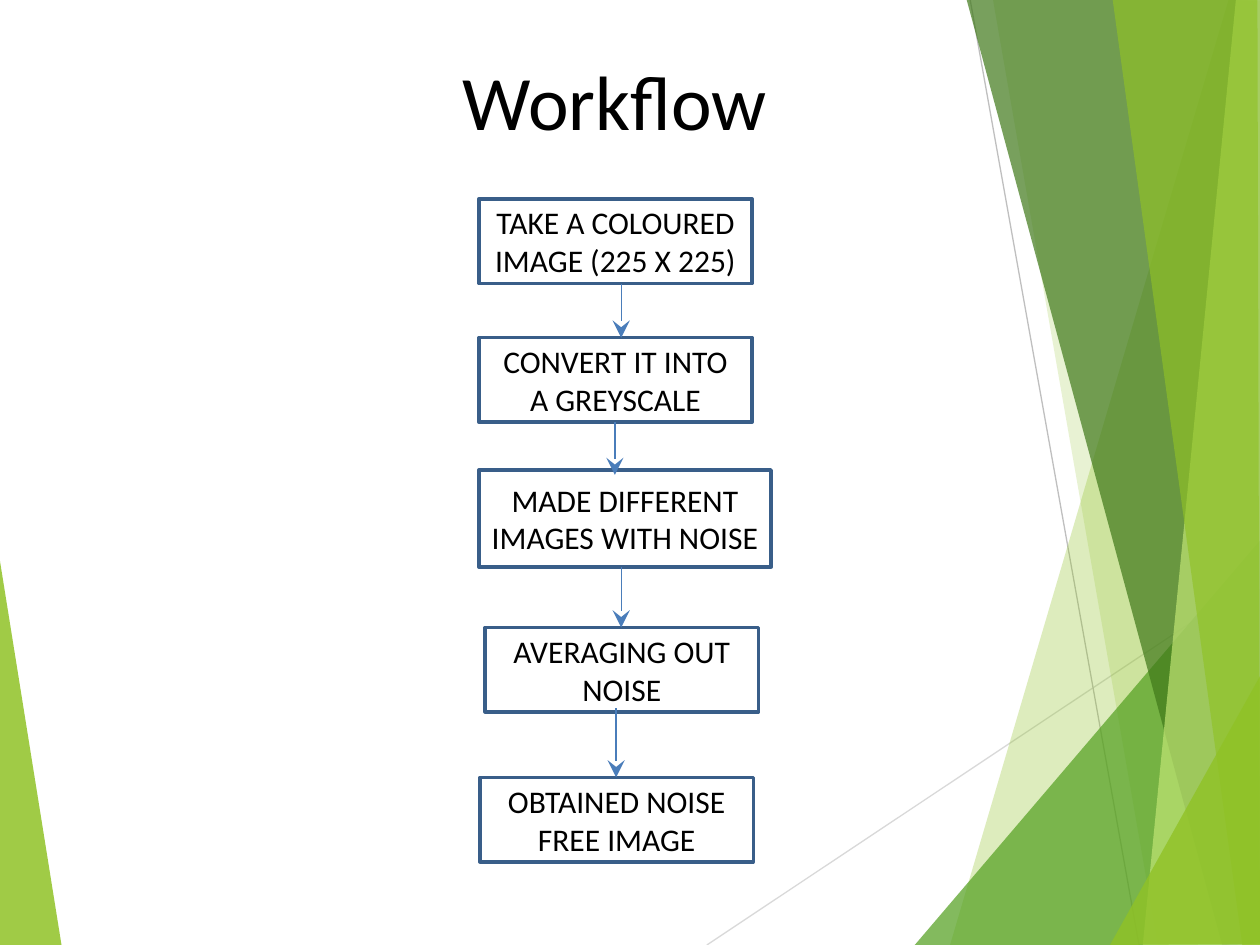
from lxml import etree
from pptx import Presentation
from pptx.dml.color import RGBColor
from pptx.enum import shapes, text
from pptx.oxml.ns import qn
from pptx.util import Inches, Pt

BLACK = RGBColor(0x00, 0x00, 0x00)
BOX_BLUE = RGBColor(0x39, 0x5E, 0x89)
ARROW_BLUE = RGBColor(0x4A, 0x7D, 0xBA)
LIME = RGBColor(0x90, 0xC2, 0x26)
GREEN = RGBColor(0x54, 0xA0, 0x21)
DARK_GREEN = RGBColor(0x3F, 0x78, 0x19)
PALE_LIME = RGBColor(0xC0, 0xE4, 0x74)
LIGHT_GREY = RGBColor(0xD9, 0xD9, 0xD9)
GREY = RGBColor(0xBF, 0xBF, 0xBF)

# Corner points, colour, opacity in percent
LEFT_FACET = ([(-0.01, 4.39), (0.49, 7.51), (-0.01, 7.5)], LIME, 85)
RIGHT_FACETS = [
    ([(9.75, 0), (7.54, 7.5), (10.02, 7.51), (10.01, 0.01)], LIME, 30),
    ([(7.88, -0.01), (9.19, 7.5), (10.01, 7.5), (10.01, -0.01)], LIME, 20),
    ([(7.26, 7.5), (10, 4.29), (10.01, 7.5)], GREEN, 72),
    ([(7.67, -0.01), (9.7, 7.5), (10.01, 7.49), (10.01, -0.01)], DARK_GREEN, 70),
    ([(9.81, -0.01), (9.07, 7.5), (10.01, 7.5), (10, -0.01)], PALE_LIME, 70),
    ([(8.83, -0.01), (9.86, 7.5), (10, 7.5), (9.98, -0.01)], LIME, 65),
    ([(8.81, 7.5), (10.01, 5.35), (10.01, 7.49)], LIME, 80),
]
BACKGROUND_LINES = [
    ((5.61, 7.5), (10.01, 4.57), LIGHT_GREY),
    ((7.7, 0), (9.04, 7.5), GREY),
]

BOX_SIZE = (2.17, 0.67)
WIDE_BOX_SIZE = (2.32, 0.77)
STEPS = [
    ("TAKE A COLOURED IMAGE (225 X 225)", (3.8, 1.58), BOX_SIZE),
    ("CONVERT IT INTO A GREYSCALE", (3.8, 2.68), BOX_SIZE),
    ("MADE DIFFERENT IMAGES WITH NOISE", (3.8, 3.73), WIDE_BOX_SIZE),
    ("AVERAGING OUT NOISE", (3.85, 4.98), BOX_SIZE),
    ("OBTAINED NOISE FREE IMAGE", (3.81, 6.17), BOX_SIZE),
]
# x, top, bottom
ARROWS = [(4.93, 2.25, 2.68), (4.88, 3.35, 3.77),
          (4.93, 4.5, 4.98), (4.89, 5.62, 6.17)]


def add_facet(slide, points, color, opacity):
    """Add a translucent polygon without an outline."""
    corners = [(Inches(x), Inches(y)) for x, y in points]
    builder = slide.shapes.build_freeform(*corners[0])
    builder.add_line_segments(corners[1:], close=True)
    shape = builder.convert_to_shape()
    shape.shadow.inherit = False
    shape.fill.solid()
    shape.fill.fore_color.rgb = color
    shape.line.fill.background()
    color_element = shape.fill._xPr.find(".//" + qn("a:srgbClr"))
    etree.SubElement(color_element, qn("a:alpha"), val=str(opacity * 1000))


def add_line(slide, start, end, color):
    points = [Inches(value) for value in (*start, *end)]
    line = slide.shapes.add_connector(shapes.MSO_CONNECTOR.STRAIGHT, *points)
    line.line.color.rgb = color
    line.line.width = Pt(0.75)
    etree.SubElement(line._element.spPr, qn("a:effectLst"))
    return line


def add_arrow(slide, x, top, bottom):
    arrow = add_line(slide, (x, top), (x, bottom), ARROW_BLUE)
    etree.SubElement(arrow.line._get_or_add_ln(), qn("a:tailEnd"),
                     type="stealth", w="lg", len="lg")


def write_text(shape, wording, size):
    frame = shape.text_frame
    frame.word_wrap = True
    frame.vertical_anchor = text.MSO_ANCHOR.MIDDLE
    paragraph = frame.paragraphs[0]
    paragraph.alignment = text.PP_ALIGN.CENTER
    run = paragraph.add_run()
    run.text = wording
    run.font.color.rgb = BLACK
    for name, value in {"name": "Calibri", "size": Pt(size)}.items():
        setattr(run.font, name, value)


def add_title(slide, wording):
    box = slide.shapes.add_textbox(Inches(1.41), Inches(0.07),
                                   Inches(6.94), Inches(1.44))
    write_text(box, wording, 44)


def add_step(slide, wording, position, size):
    bounds = [Inches(value) for value in (*position, *size)]
    box = slide.shapes.add_shape(shapes.MSO_SHAPE.RECTANGLE, *bounds)
    box.shadow.inherit = False
    box.fill.background()
    box.line.color.rgb = BOX_BLUE
    box.line.width = Pt(2)
    write_text(box, wording, 18)


def main():
    presentation = Presentation()
    presentation.slide_width = Inches(10)
    presentation.slide_height = Inches(7.5)
    slide = presentation.slides.add_slide(presentation.slide_layouts[6])

    add_facet(slide, *LEFT_FACET)
    for line in BACKGROUND_LINES:
        add_line(slide, *line)
    for facet in RIGHT_FACETS:
        add_facet(slide, *facet)

    add_title(slide, "Workflow")
    for step in STEPS:
        add_step(slide, *step)
    for arrow in ARROWS:
        add_arrow(slide, *arrow)

    presentation.save("out.pptx")


if __name__ == "__main__":
    main()
